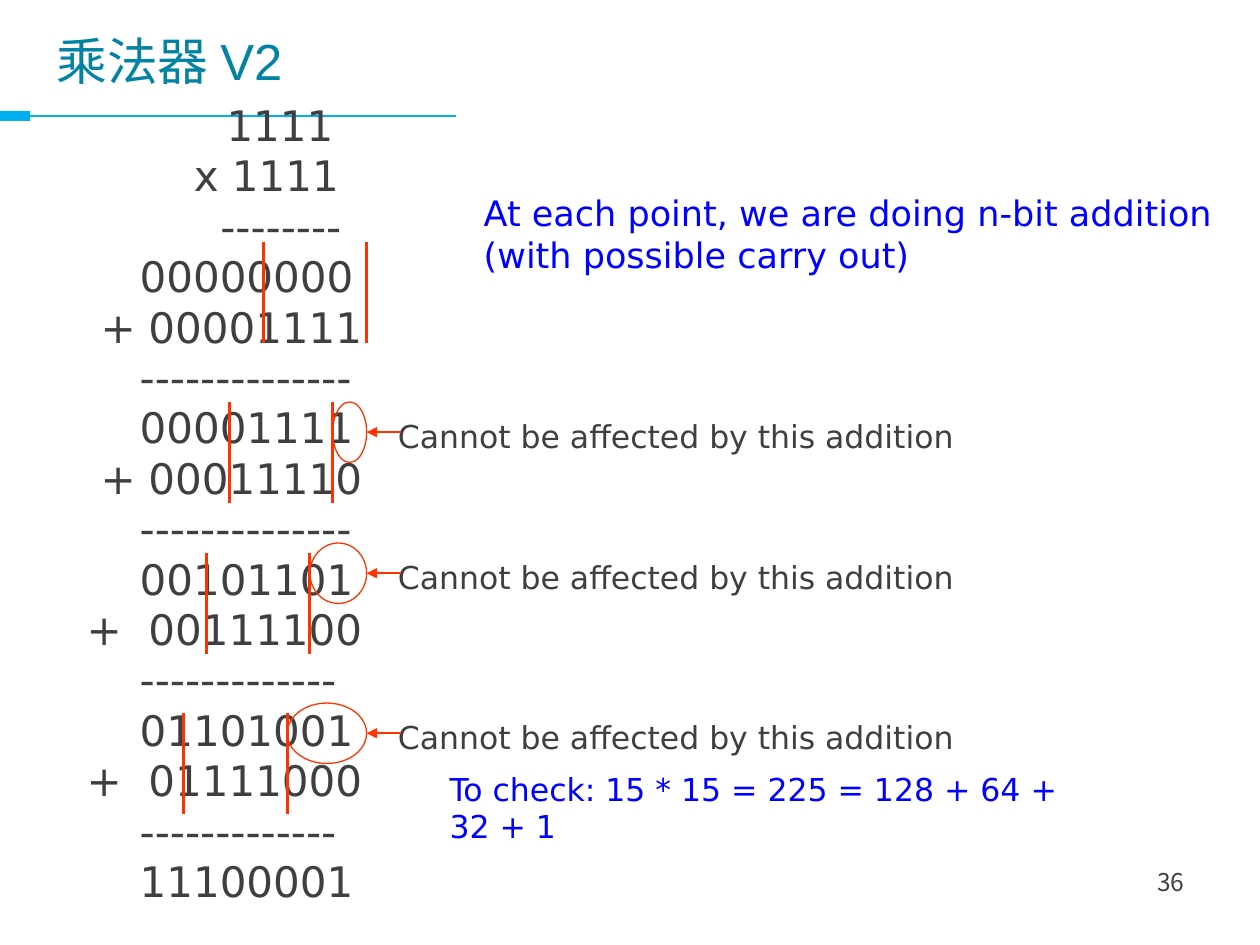
from lxml import etree
from pptx import Presentation
from pptx.dml.color import RGBColor
from pptx.enum.shapes import MSO_CONNECTOR, MSO_SHAPE
from pptx.enum.text import MSO_ANCHOR, PP_ALIGN
from pptx.oxml.ns import qn
from pptx.util import Inches, Pt

STRAIGHT = MSO_CONNECTOR.STRAIGHT
RECTANGLE, OVAL = MSO_SHAPE.RECTANGLE, MSO_SHAPE.OVAL
TOP, MIDDLE = MSO_ANCHOR.TOP, MSO_ANCHOR.MIDDLE
LEFT, RIGHT = PP_ALIGN.LEFT, PP_ALIGN.RIGHT

COLORS = {
    "title": "0383A3",
    "accent": "00B0F0",
    "text": "3D3F41",
    "note": "0000FF",
    "mark": "FF3300",
}
BODY_FONT = "DejaVu Sans"
CJK_FONT = "Noto Sans CJK KR"

DIGIT_INDENT = 0.42
PLUS_INDENT = 0.11
WIDE_PLUS_INDENT = 0
ADDEND_INDENT = 0.49

FACTORS = [(1.11, "1111"), (0.85, "x 1111"), (1.06, "--------")]
ADDITIONS = [
    ("00000000", PLUS_INDENT, "00001111", 14),
    ("00001111", PLUS_INDENT, "00011110", 14),
    ("00101101", WIDE_PLUS_INDENT, "00111100", 13),
    ("01101001", WIDE_PLUS_INDENT, "01111000", 13),
]
PRODUCT = "11100001"

WINDOWS = [(2.09, 1.92), (1.82, 3.19), (1.64, 4.39), (1.46, 5.66)]
WINDOW_WIDTH, WINDOW_HEIGHT = 0.82, 0.8
FIXED_BIT_TOPS = [3.19, 4.31, 5.58]
FIXED_BIT_RIGHT, FIXED_BIT_HEIGHT = 2.91, 0.48
FIXED_BIT_LABEL = "Cannot be affected by this addition"


def add_text(slide, text, box, size=18, font=BODY_FONT, color="text",
             align=LEFT, anchor=TOP, indents=None):
    frame = slide.shapes.add_textbox(*map(Inches, box)).text_frame
    frame.word_wrap = True
    frame.vertical_anchor = anchor
    for index, line in enumerate(text.split("\n")):
        paragraph = frame.paragraphs[0] if index == 0 else frame.add_paragraph()
        paragraph.alignment = align
        if font == BODY_FONT:
            paragraph.line_spacing = Pt(1.2 * size)
        if indents:
            margin, first = indents[index]
            properties = paragraph._p.get_or_add_pPr()
            properties.set("marL", str(Inches(margin)))
            properties.set("indent", str(Inches(first - margin)))
        run = paragraph.add_run()
        run.text = line
        run.font.size = Pt(size)
        run.font.name = font
        run.font.color.rgb = RGBColor.from_string(COLORS[color])
        east_asian = etree.SubElement(run._r.get_or_add_rPr(), qn("a:ea"))
        east_asian.set("typeface", CJK_FONT)


def add_line(slide, start, end, width, color="mark", arrow=False):
    line = slide.shapes.add_connector(STRAIGHT, *map(Inches, (*start, *end)))
    line.line.color.rgb = RGBColor.from_string(COLORS[color])
    line.line.width = Pt(width)
    if arrow:
        etree.SubElement(line.line._get_or_add_ln(), qn("a:tailEnd"), type="triangle")
    etree.SubElement(line._element.spPr, qn("a:effectLst"))


def add_calculation(slide):
    rows = [(indent, indent, text) for indent, text in FACTORS]
    for partial_sum, plus_indent, addend, dashes in ADDITIONS:
        rows += [
            (DIGIT_INDENT, DIGIT_INDENT, partial_sum),
            (ADDEND_INDENT, plus_indent, "+\t" + addend),
            (DIGIT_INDENT, DIGIT_INDENT, "-" * dashes),
        ]
    rows.append((DIGIT_INDENT, DIGIT_INDENT, PRODUCT))
    add_text(slide, "\n".join(row[2] for row in rows), (0.59, 0.74, 5, 6.5),
             size=24, indents=[row[:2] for row in rows])


def add_fixed_bits(slide, left, top):
    oval = slide.shapes.add_shape(OVAL, *map(
        Inches, (left, top, FIXED_BIT_RIGHT - left, FIXED_BIT_HEIGHT)))
    oval.shadow.inherit = False
    oval.fill.background()
    oval.line.color.rgb = RGBColor.from_string(COLORS["mark"])
    oval.line.width = Pt(0.75)
    add_text(slide, FIXED_BIT_LABEL, (3.06, top + 0.07, 4.66, 0.4))
    middle = top + FIXED_BIT_HEIGHT / 2
    add_line(slide, (3.18, middle), (FIXED_BIT_RIGHT, middle), 1.25, arrow=True)


def main():
    presentation = Presentation()
    presentation.slide_width, presentation.slide_height = Inches(10), Inches(7.5)
    slide = presentation.slides.add_slide(presentation.slide_layouts[6])

    add_line(slide, (3.62, 0.92), (0.23, 0.92), 0.75, color="accent")
    bar = slide.shapes.add_shape(RECTANGLE, *map(Inches, (0, 0.88, 0.24, 0.08)))
    bar.shadow.inherit = False
    bar.fill.solid()
    bar.fill.fore_color.rgb = RGBColor.from_string(COLORS["accent"])
    bar.line.fill.background()

    add_text(slide, "乘法器 V2", (0.35, 0.2, 9.34, 0.56), size=29, font="Arial",
             color="title", anchor=MIDDLE)
    add_text(slide, "36", (7.17, 6.83, 2.33, 0.52), size=14, font=CJK_FONT, align=RIGHT)
    add_calculation(slide)

    for left, top in WINDOWS:
        for x in (left, left + WINDOW_WIDTH):
            add_line(slide, (x, top), (x, top + WINDOW_HEIGHT), 1.75)
    for (left, _), top in zip(WINDOWS[1:], FIXED_BIT_TOPS):
        add_fixed_bits(slide, left + WINDOW_WIDTH, top)

    add_text(slide, "At each point, we are doing n-bit addition (with possible carry out)",
             (3.74, 1.47, 6.11, 0.77), size=20, color="note")
    add_text(slide, "To check: 15 * 15 = 225 = 128 + 64 + 32 + 1",
             (3.47, 6.06, 5.2, 0.7), color="note")
    presentation.save("out.pptx")


if __name__ == "__main__":
    main()
